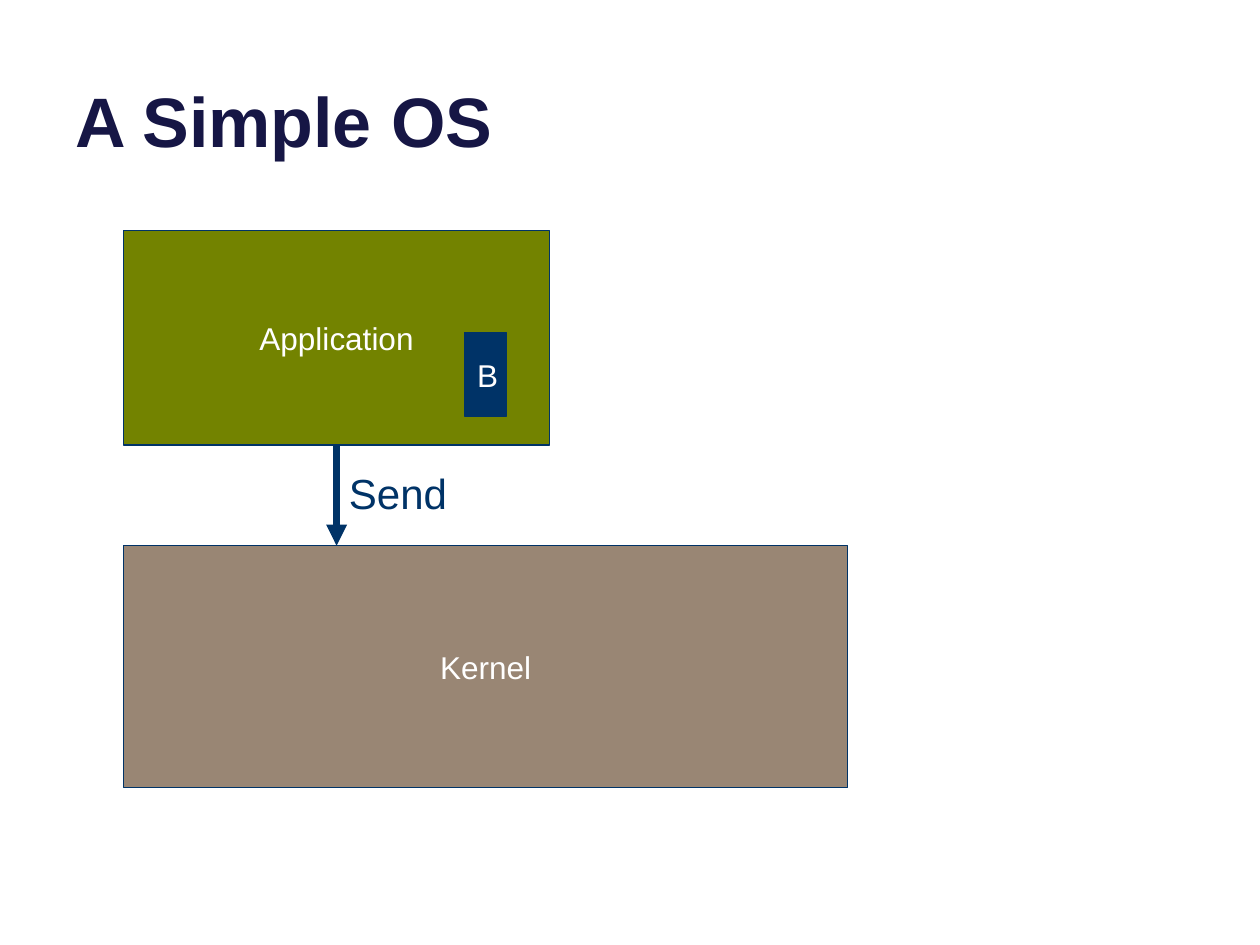
from lxml import etree
from pptx import Presentation
from pptx.dml.color import RGBColor
from pptx.enum import shapes, text
from pptx.oxml.ns import qn
from pptx.util import Cm, Pt

NAVY = RGBColor(0x00, 0x33, 0x67)
TITLE_INK = RGBColor(0x16, 0x16, 0x45)
GREEN = RGBColor(0x73, 0x83, 0x00)
TAUPE = RGBColor(0x99, 0x86, 0x74)
WHITE = RGBColor(0xFF, 0xFF, 0xFF)


def write(tf, words, size, color, bold=False):
    p = tf.paragraphs[0]
    p.text = words
    p.font.name = "Arial"
    p.font.size = Pt(size)
    p.font.bold = bold
    p.font.color.rgb = color
    return p


def add_title(s, left, top, width, height):
    tf = s.shapes.add_textbox(left, top, width, height).text_frame
    tf.word_wrap = True
    tf.vertical_anchor = text.MSO_ANCHOR.BOTTOM
    write(tf, "A Simple OS", 40, TITLE_INK, bold=True)


def add_block(s, words, fill, left, top, width, height):
    sp = s.shapes.add_shape(shapes.MSO_SHAPE.RECTANGLE, left, top, width, height)
    sp.shadow.inherit = False
    sp.fill.solid()
    sp.fill.fore_color.rgb = fill
    sp.line.color.rgb = NAVY
    sp.line.width = Pt(0.75)
    sp.text_frame.vertical_anchor = text.MSO_ANCHOR.MIDDLE
    write(sp.text_frame, words, 18, WHITE).alignment = text.PP_ALIGN.CENTER


def add_application(s, left, top, width, height):
    add_block(s, "Application", GREEN, left, top, width, height)
    add_block(s, "B", NAVY, left + Cm(6.88), top + Cm(2.06), Cm(0.84), Cm(1.68))


def add_send(s, x, top, bottom):
    arrow = s.shapes.add_connector(shapes.MSO_CONNECTOR.STRAIGHT, x, top, x, bottom)
    arrow.line.color.rgb = NAVY
    arrow.line.width = Pt(4)
    etree.SubElement(arrow.line._get_or_add_ln(), qn("a:tailEnd"), type="triangle")
    etree.SubElement(arrow._element.spPr, qn("a:effectLst"))

    tf = s.shapes.add_textbox(x, top + Cm(0.33), Cm(2.51), Cm(1.27)).text_frame
    tf.word_wrap = False
    tf.auto_size = text.MSO_AUTO_SIZE.SHAPE_TO_FIT_TEXT
    write(tf, "Send", 24, NAVY)


def main():
    prs = Presentation()
    prs.slide_width, prs.slide_height = Cm(25.4), Cm(19.05)
    s = prs.slides.add_slide(prs.slide_layouts[6])

    left, app_top, kernel_top = Cm(2.49), Cm(4.65), Cm(11)
    app_width, app_height = Cm(8.59), Cm(4.32)

    add_title(s, Cm(1.27), Cm(-0.94), Cm(22.86), Cm(4.32))
    add_block(s, "Kernel", TAUPE, left, kernel_top, Cm(14.6), Cm(4.88))
    add_application(s, left, app_top, app_width, app_height)
    add_send(s, left + app_width // 2, app_top + app_height, kernel_top)

    prs.save("out.pptx")


if __name__ == "__main__":
    main()
